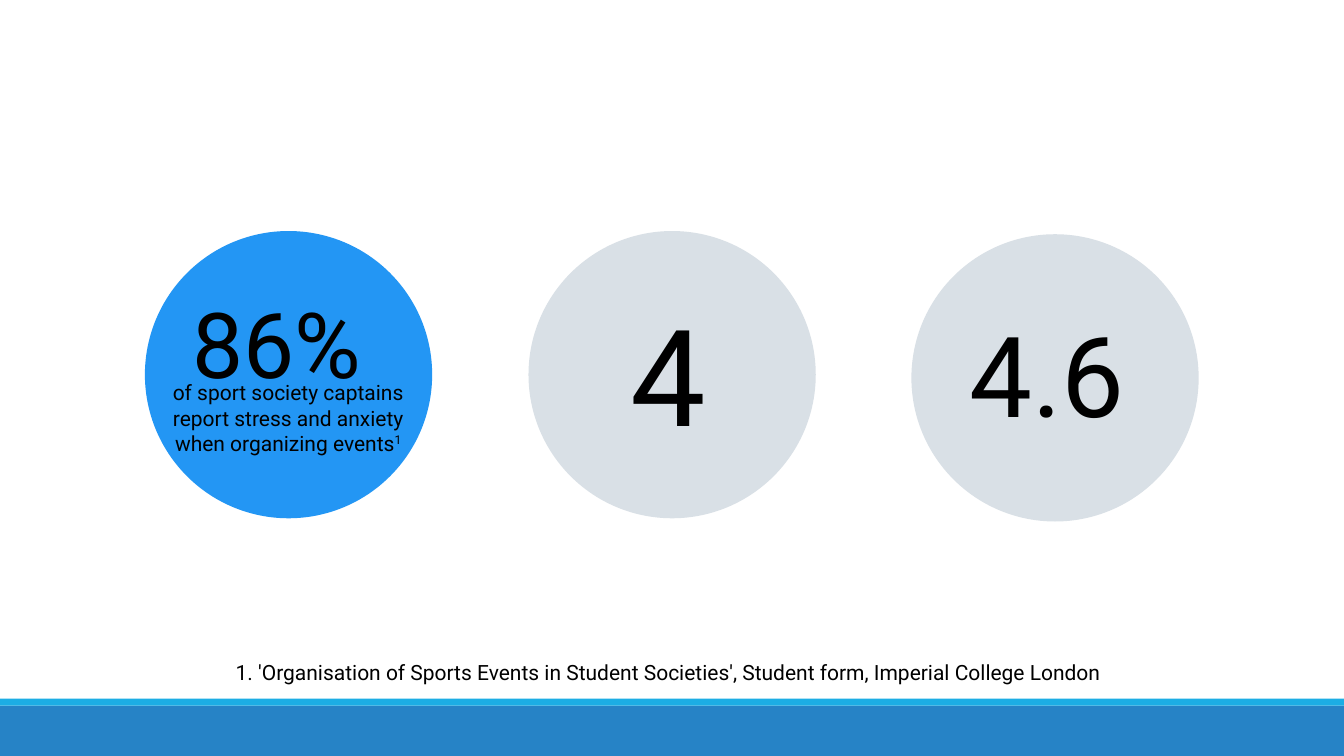
from pptx import Presentation
from pptx.dml.color import RGBColor
from pptx.enum.shapes import MSO_SHAPE as Preset
from pptx.enum.text import MSO_ANCHOR as Anchor, PP_ALIGN as Align
from pptx.util import Pt

WIDTH, HEIGHT = 960, 540
DIAMETER = 205.2
BLUE, GREY = "2396F4", "D9E0E6"


def color(value):
    return RGBColor.from_string(value)


def add_preset(slide, preset, box, fill):
    shape = slide.shapes.add_shape(preset, *[Pt(length) for length in box])
    shape.shadow.inherit = False
    shape.fill.solid()
    shape.fill.fore_color.rgb = color(fill)
    shape.line.fill.background()
    return shape


def add_text(slide, box, text, size, align=Align.LEFT, wrap=True, superscript=""):
    shape = slide.shapes.add_textbox(*[Pt(length) for length in box])
    frame = shape.text_frame
    frame.word_wrap = wrap
    frame.vertical_anchor = Anchor.TOP
    frame.text = text
    paragraph = frame.paragraphs[0]
    paragraph.alignment = align
    if superscript:
        run = paragraph.add_run()
        run.text = superscript
        run.font._element.set("baseline", "30000")
    for run in paragraph.runs:
        run.font.name = "Roboto"
        run.font.size = Pt(size)
        run.font.color.rgb = color("000000")


def add_statistic(slide, left, top, fill, value, size, value_box, wrap=True):
    add_preset(slide, Preset.OVAL, (left, top, DIAMETER, DIAMETER), fill)
    inset_left, inset_top, width, height = value_box
    box = (left + inset_left, top + inset_top, width, height)
    add_text(slide, box, value, size, wrap=wrap)


def add_footer(slide, top, height):
    stripe = 5
    add_preset(slide, Preset.RECTANGLE, (0, top + stripe, WIDTH, height - stripe), "2683C6")
    add_preset(slide, Preset.RECTANGLE, (0, top, WIDTH, stripe), "1CADE4")


def build_slide(presentation):
    slide = presentation.slides.add_slide(presentation.slide_layouts[6])
    add_footer(slide, 499, 41)
    add_statistic(slide, 103.5, 165, BLUE, "86%", 65, (26.8, 36.6, 153.4, 85.7))
    add_statistic(slide, 377.5, 165, GREY, "4", 96, (66, 40.2, 73.4, 123.8), wrap=False)
    add_statistic(slide, 651, 167.3, GREY, "4.6", 80, (34.4, 47.3, 216, 104.4))
    add_text(slide, (108.7, 267.8, 194.4, 61.9),
             "of sport society captains report stress and anxiety when organizing events",
             15, Align.CENTER, superscript="1")
    add_text(slide, (161.3, 467.3, 740, 25.2),
             "1. 'Organisation of Sports Events in Student Societies', "
             "Student form, Imperial College London", 15)


def main():
    presentation = Presentation()
    presentation.slide_width = Pt(WIDTH)
    presentation.slide_height = Pt(HEIGHT)
    build_slide(presentation)
    presentation.save("out.pptx")


if __name__ == "__main__":
    main()
